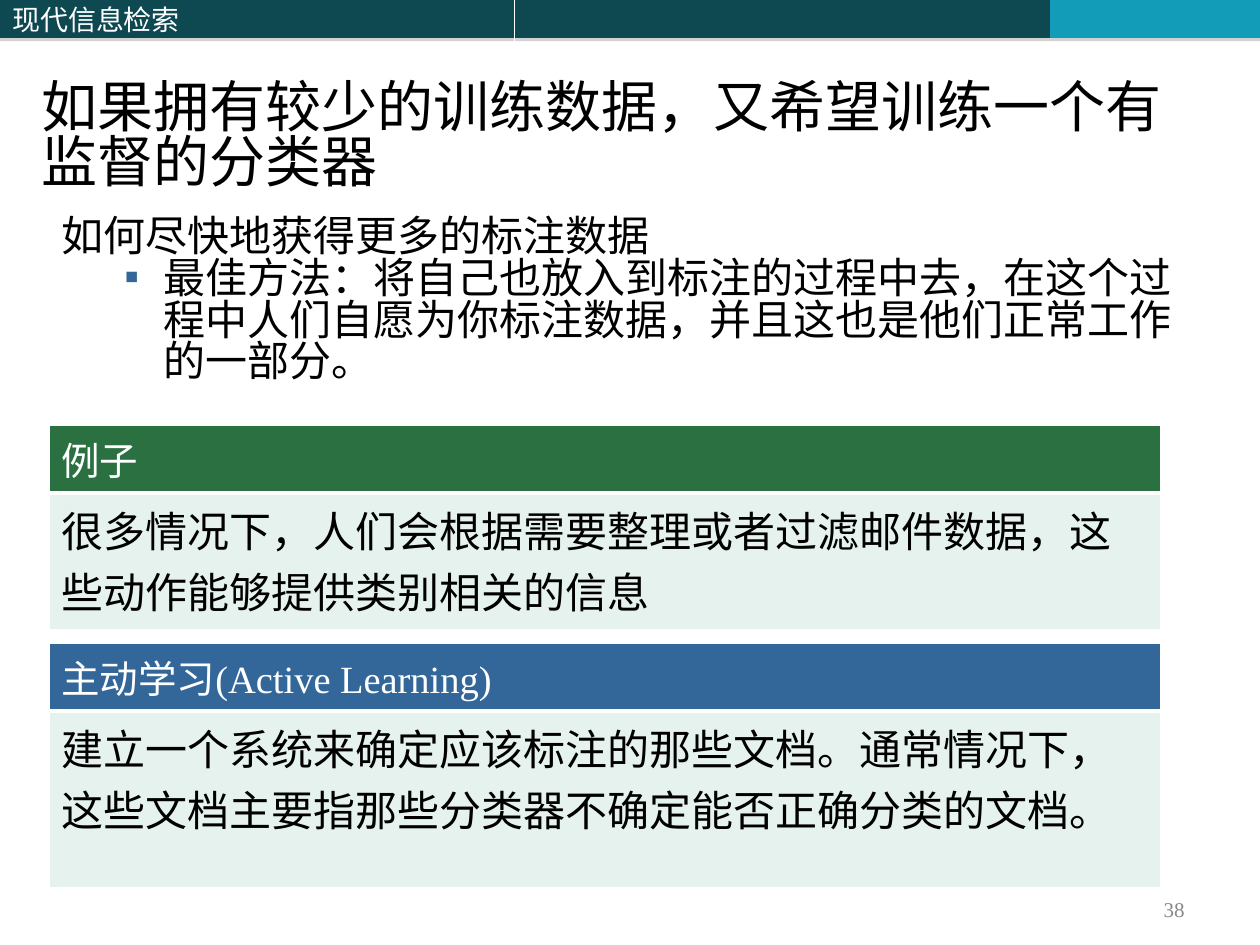
from lxml import etree
from pptx import Presentation
from pptx import util as u
from pptx.dml.color import RGBColor
from pptx.enum import shapes, text
from pptx.oxml import ns

PX = 914400 // 126
COLORS = {
    "black": "000000", "white": "FFFFFF", "gray": "898989", "shadow": "808080",
    "bar": "0E4851", "accent": "139CB7", "green": "2A7041", "blue": "336699",
    "mint": "E6F2ED",
}
LATIN, CJK = "Times New Roman", "Noto Sans CJK SC"


def px(n):
    return u.Emu(round(n * 914400 / 126))


def rgb(name):
    return RGBColor.from_string(COLORS[name])


def sub(parent, tag, **attrs):
    return etree.SubElement(parent, ns.qn(tag), attrs)


class Deck:
    def __init__(self, width, height):
        self.prs = Presentation()
        self.prs.slide_width, self.prs.slide_height = px(width), px(height)
        self.s = self.prs.slides.add_slide(self.prs.slide_layouts[6])

    def run(self, p, words, size, color, font=LATIN):
        r = p.add_run()
        r.text = words
        r.font.size = u.Pt(size)
        r.font.name = font
        r.font.color.rgb = rgb(color)
        sub(r.font._element, "a:ea", typeface=CJK)

    def bar(self, x, y, w, h, fill):
        sp = self.s.shapes.add_shape(shapes.MSO_SHAPE.RECTANGLE, px(x), px(y), px(w), px(h))
        sp.fill.solid()
        sp.fill.fore_color.rgb = rgb(fill)
        sp.line.fill.background()
        sp.shadow.inherit = False
        effects = sp._element.spPr.find(ns.qn("a:effectLst"))
        shadow = sub(effects, "a:outerShdw", blurRad="0", dist="22860", dir="5400000", rotWithShape="0")
        color = sub(shadow, "a:srgbClr", val=COLORS["shadow"])
        sub(color, "a:alpha", val="35000")
        tf = sp.text_frame
        tf.vertical_anchor = text.MSO_ANCHOR.MIDDLE
        tf.paragraphs[0].alignment = text.PP_ALIGN.LEFT
        return tf

    def box(self, x, y, w, h, anchor, top=6, bottom=6):
        tf = self.s.shapes.add_textbox(px(x), px(y), px(w), px(h)).text_frame
        tf.word_wrap = True
        tf.vertical_anchor = anchor
        tf.margin_top, tf.margin_bottom = px(top), px(bottom)
        return tf

    def bullet(self, p, indent, hang, color):
        pPr = p._p.get_or_add_pPr()
        pPr.set("marL", str(px(indent)))
        pPr.set("indent", str(-px(hang)))
        sub(sub(pPr, "a:buClr"), "a:srgbClr", val=COLORS[color])
        sub(pPr, "a:buFont", typeface=LATIN)
        sub(pPr, "a:buChar", char="▪")

    def cell(self, cell, words, size, color, fill, bottom):
        tcPr = cell._tc.get_or_add_tcPr()
        for side, width in (("L", 1), ("R", 1), ("T", 1), ("B", bottom)):
            ln = sub(tcPr, f"a:ln{side}", w=str(u.Pt(width)))
            sub(sub(ln, "a:solidFill"), "a:srgbClr", val=COLORS["white"])
        cell.fill.solid()
        cell.fill.fore_color.rgb = rgb(fill)
        self.run(cell.text_frame.paragraphs[0], words, size, color)

    def panel(self, x, y, w, heights, heading, body, fill):
        frame = self.s.shapes.add_table(2, 1, px(x), px(y), px(w), px(sum(heights)))
        table = frame.table
        for row, h in zip(table.rows, heights):
            row.height = px(h)
        self.cell(table.cell(0, 0), heading, 22, "white", fill, 3)
        self.cell(table.cell(1, 0), body, 24, "black", "mint", 1)


def main():
    deck = Deck(1260, 945)
    anchor = text.MSO_ANCHOR

    header = deck.bar(0, 0, 514, 38, "bar")
    deck.run(header.paragraphs[0], "现代信息检索", 16, "white", CJK)
    deck.bar(515, 0, 535, 38, "bar")
    deck.bar(1050, 0, 210, 38, "accent")

    p = deck.box(29, 1, 1182, 193, anchor.BOTTOM, bottom=0).paragraphs[0]
    p.line_spacing = 0.83
    deck.run(p, "如果拥有较少的训练数据，又希望训练一个有监督的分类器", 32, "black")

    tf = deck.box(49, 207, 1172, 748, anchor.TOP, top=11)
    p = tf.paragraphs[0]
    p.line_spacing = 0.83
    deck.run(p, "如何尽快地获得更多的标注数据", 24, "black")
    p = tf.add_paragraph()
    p.level = 1
    p.line_spacing = 0.83
    deck.bullet(p, 102, 39, "blue")
    deck.run(p, "最佳方法：将自己也放入到标注的过程中去，在这个过程中人们自愿为你标注数据，"
                "并且这也是他们正常工作的一部分。", 24, "black")

    deck.panel(49, 425, 1112, (68, 137), "例子",
               "很多情况下，人们会根据需要整理或者过滤邮件数据，这些动作能够提供类别相关的信息", "green")
    deck.panel(49, 643, 1112, (68, 177), "主动学习(Active Learning)",
               "建立一个系统来确定应该标注的那些文档。通常情况下，"
               "这些文档主要指那些分类器不确定能否正确分类的文档。", "blue")

    p = deck.box(903, 892, 294, 34, anchor.MIDDLE).paragraphs[0]
    p.alignment = text.PP_ALIGN.RIGHT
    deck.run(p, "38", 12, "gray")

    deck.prs.save("out.pptx")


if __name__ == "__main__":
    main()
